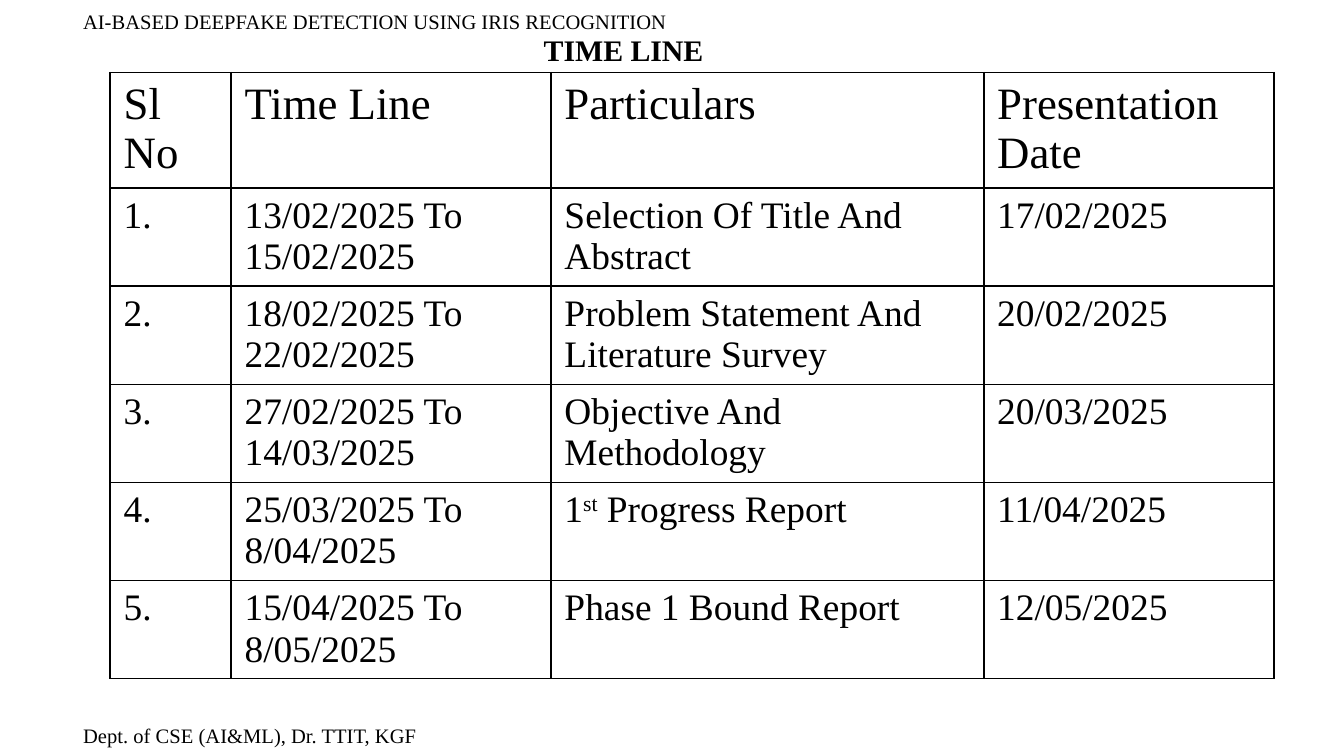
from lxml import etree
from pptx import Presentation
from pptx.dml.color import RGBColor
from pptx.enum.text import MSO_AUTO_SIZE, PP_ALIGN
from pptx.oxml.ns import qn
from pptx.util import Inches, Pt

BLACK = RGBColor(0, 0, 0)
WHITE = RGBColor(255, 255, 255)
LEFT = PP_ALIGN.LEFT
CENTER = PP_ALIGN.CENTER
GROW = MSO_AUTO_SIZE.SHAPE_TO_FIT_TEXT
FONT = "Times New Roman"

WIDTHS = [0.9, 2.38, 3.22, 2.16]
HEAD_H, ROW_H = 0.86, 0.73
HEAD = ["Sl No", "Time Line", "Particulars", "Presentation Date"]
ROWS = [
    ["1.", "13/02/2025 To 15/02/2025", "Selection Of Title And Abstract", "17/02/2025"],
    ["2.", "18/02/2025 To 22/02/2025", "Problem Statement And Literature Survey", "20/02/2025"],
    ["3.", "27/02/2025 To\n14/03/2025", "Objective And Methodology", "20/03/2025"],
    ["4.", "25/03/2025 To\n8/04/2025", "1^st^ Progress Report", "11/04/2025"],
    ["5.", "15/04/2025 To\n8/05/2025", "Phase 1 Bound Report", "12/05/2025"],
]


def style(par, size, bold=False):
    font = par.font
    font.name, font.size, font.bold = FONT, Pt(size), bold
    font.color.rgb = BLACK


def add_text(slide, text, box, size, bold=False, align=LEFT, wrap=True):
    frame = slide.shapes.add_textbox(*map(Inches, box)).text_frame
    frame.word_wrap = wrap
    frame.auto_size = GROW
    par = frame.paragraphs[0]
    par.text, par.alignment = text, align
    style(par, size, bold)


def add_border(cell):
    props = cell._tc.get_or_add_tcPr()
    for tag in ("a:lnL", "a:lnR", "a:lnT", "a:lnB"):
        line = etree.SubElement(props, qn(tag), w=str(Pt(1)))
        fill = etree.SubElement(line, qn("a:solidFill"))
        etree.SubElement(fill, qn("a:srgbClr"), val=str(BLACK))


def fill_cell(cell, text, size):
    add_border(cell)
    cell.fill.solid()
    cell.fill.fore_color.rgb = WHITE
    frame = cell.text_frame
    for i, line in enumerate(text.split("\n")):
        par = frame.add_paragraph() if i else frame.paragraphs[0]
        style(par, size)
        for j, part in enumerate(line.split("^")):
            run = par.add_run()
            run.text = part
            if j % 2:
                run._r.get_or_add_rPr().set("baseline", "30000")


def add_grid(slide):
    rows = [HEAD] + ROWS
    high = HEAD_H + ROW_H * len(ROWS)
    box = map(Inches, (0.82, 0.54, sum(WIDTHS), high))
    table = slide.shapes.add_table(len(rows), len(HEAD), *box).table
    table.first_row = table.horz_banding = False
    for col, width in zip(table.columns, WIDTHS):
        col.width = Inches(width)
    for r, texts in enumerate(rows):
        table.rows[r].height = Inches(ROW_H if r else HEAD_H)
        for c, text in enumerate(texts):
            fill_cell(table.cell(r, c), text, 20 if r else 24)


def main():
    deck = Presentation()
    deck.slide_width = Inches(10)
    deck.slide_height = Inches(10 * 9 / 16)
    slide = deck.slides.add_slide(deck.slide_layouts[6])
    add_grid(slide)
    add_text(slide, "TIME LINE", (3.94, 0.19, 1.4, 0.37), 16, True, CENTER, False)
    add_text(slide, "AI-BASED DEEPFAKE DETECTION USING IRIS RECOGNITION",
             (0.52, 0.02, 6.06, 0.66), 11)
    add_text(slide, "Dept. of CSE (AI&ML), Dr. TTIT, KGF", (0.52, 5.33, 9.42, 0.29), 11)
    deck.save("out.pptx")


if __name__ == "__main__":
    main()
